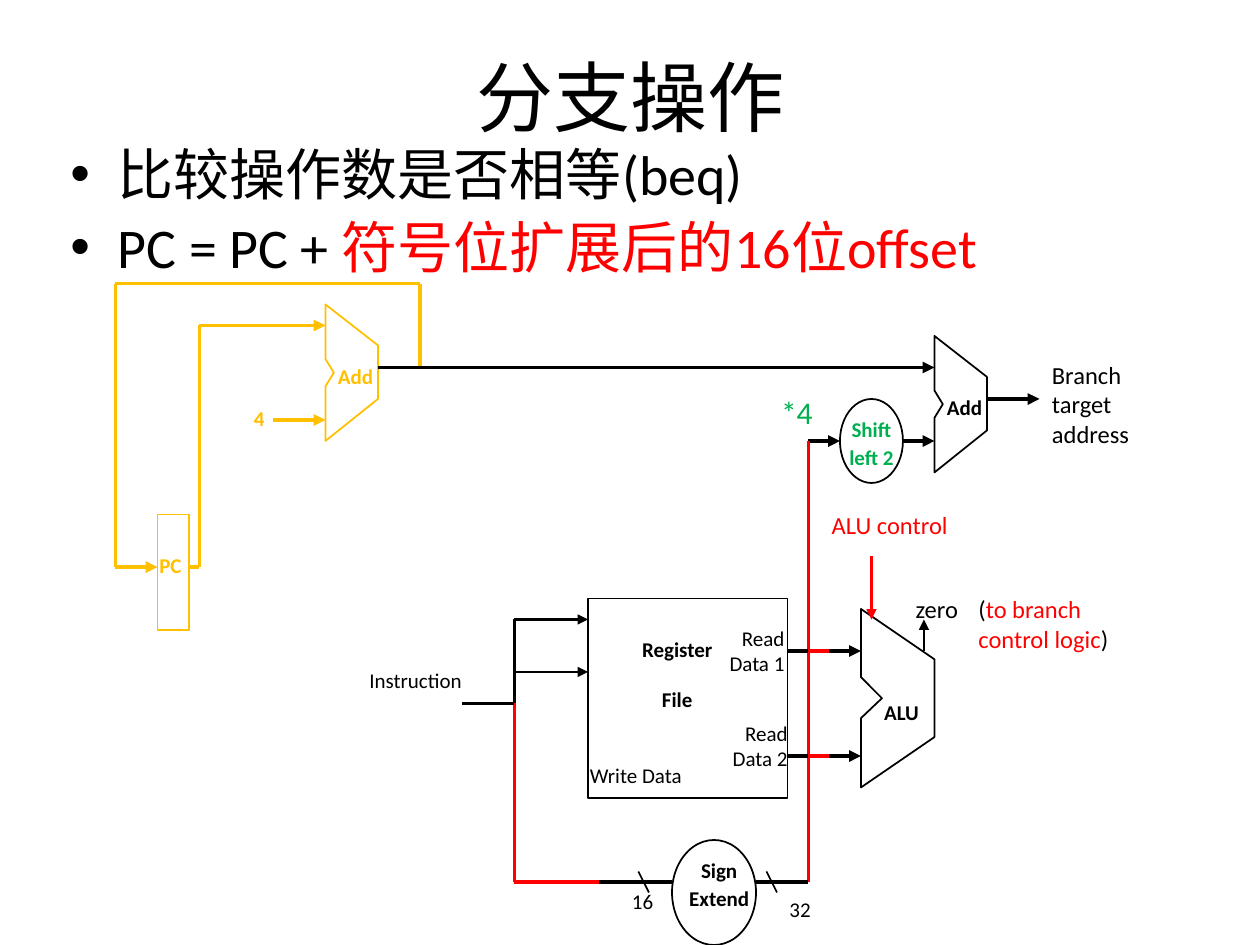
from itertools import pairwise

from pptx import Presentation
from pptx.dml.color import RGBColor
from pptx.enum.shapes import MSO_CONNECTOR, MSO_SHAPE
from pptx.enum.text import MSO_ANCHOR, MSO_AUTO_SIZE, PP_ALIGN
from pptx.oxml.ns import qn
from pptx.util import Pt
from lxml.etree import SubElement

SCALE = 7620
FONT = "Calibri"
BLACK = RGBColor(0x00, 0x00, 0x00)
RED = RGBColor(0xFF, 0x00, 0x00)
GREEN = RGBColor(0x00, 0xB0, 0x50)
GOLD = RGBColor(0xFF, 0xC0, 0x00)

ADDER = [(0, 0), (50, 39), (50, 90), (0, 130), (0, 78), (8, 65), (0, 52)]
ALU = [(0, 0), (0, 65), (20, 85), (0, 104), (0, 170), (70, 122), (70, 48)]


def px(*lengths):
    return [length * SCALE for length in lengths]


def format_run(run, size, color, bold=False):
    run.font.name = FONT
    run.font.size = Pt(size)
    run.font.bold = bold
    run.font.color.rgb = color


def place(shape, left, top, width, height):
    shape.left, shape.top, shape.width, shape.height = px(left, top, width, height)


def fill_title(slide, text):
    title = slide.shapes.title
    place(title, 61, 16, 1080, 150)
    title.text_frame.text = text
    title.text_frame.vertical_anchor = MSO_ANCHOR.MIDDLE
    format_run(title.text_frame.paragraphs[0].runs[0], 44, BLACK)


def fill_body(slide, items):
    body = slide.placeholders[1]
    place(body, 55, 127, 1100, 143)
    frame = body.text_frame
    frame.auto_size = MSO_AUTO_SIZE.NONE
    for index, runs in enumerate(items):
        paragraph = frame.add_paragraph() if index else frame.paragraphs[0]
        paragraph.space_before = Pt(3 if index else 0)
        for text, color in runs:
            run = paragraph.add_run()
            run.text = text
            format_run(run, 32, color)


def add_label(slide, box, text, size=12, color=BLACK, bold=False,
              align=PP_ALIGN.LEFT, line_pitch=None, gap=0, wrap=False):
    frame = slide.shapes.add_textbox(*px(*box)).text_frame
    frame.text = text
    frame.word_wrap = wrap
    if line_pitch:
        frame.margin_left, frame.margin_right = px(2, 2)
        frame.margin_top, frame.margin_bottom = px(4, 4)
    for index, paragraph in enumerate(frame.paragraphs):
        paragraph.alignment = align
        if line_pitch:
            paragraph.line_spacing = Pt(line_pitch)
        if index and gap:
            paragraph.space_before = Pt(gap)
        for run in paragraph.runs:
            format_run(run, size, color, bold)
    return frame


def style_outline(shape, color):
    shape.shadow.inherit = False
    shape.fill.background()
    shape.line.color.rgb = color
    shape.line.width = Pt(1)


def add_block(slide, kind, box, color=BLACK):
    style_outline(slide.shapes.add_shape(kind, *px(*box)), color)


def add_unit(slide, left, top, outline, color=BLACK):
    points = [(left + x, top + y) for x, y in outline]
    builder = slide.shapes.build_freeform(*points[0], scale=SCALE)
    builder.add_line_segments(points[1:], close=True)
    style_outline(builder.convert_to_shape(), color)


def add_wire(slide, points, color=BLACK, width=2.25, arrow=False):
    for start, end in pairwise(points):
        wire = slide.shapes.add_connector(MSO_CONNECTOR.STRAIGHT, *px(*start, *end))
        wire.line.color.rgb = color
        wire.line.width = Pt(width)
        if arrow and end == points[-1]:
            SubElement(wire.line._get_or_add_ln(), qn("a:tailEnd"), type="triangle")
        SubElement(wire._element.spPr, qn("a:effectLst"))


def add_program_counter(slide):
    add_block(slide, MSO_SHAPE.RECTANGLE, (150, 490, 30, 110), GOLD)
    add_unit(slide, 310, 290, ADDER, GOLD)
    add_wire(slide, [(180, 540), (190, 540), (190, 310), (310, 310)], GOLD, arrow=True)
    add_wire(slide, [(260, 400), (310, 400)], GOLD, arrow=True)
    add_wire(slide, [(400, 350), (400, 270), (110, 270), (110, 540), (150, 540)],
             GOLD, arrow=True)
    for text, box in (("Add", (310, 340, 59, 36)), ("PC", (140, 520, 46, 36)),
                      ("4", (230, 380, 35, 36))):
        add_label(slide, box, text, color=GOLD, bold=True)


def add_branch_target(slide):
    add_unit(slide, 890, 320, ADDER)
    add_block(slide, MSO_SHAPE.OVAL, (800, 380, 60, 80))
    for points in ([(360, 350), (890, 350)], [(770, 420), (800, 420)],
                   [(860, 420), (890, 420)], [(940, 380), (990, 380)]):
        add_wire(slide, points, arrow=True)
    add_label(slide, (890, 370, 64, 36), "Add", bold=True)
    add_label(slide, (800, 390, 60, 60), "Shift\nleft 2", color=GREEN, bold=True,
              align=PP_ALIGN.CENTER, line_pitch=16)
    add_label(slide, (732, 368, 78, 48), "*4", 18, GREEN, wrap=True)
    add_label(slide, (990, 337, 107, 96), "Branch\ntarget\naddress", 14)


def add_register_file(slide):
    add_block(slide, MSO_SHAPE.RECTANGLE, (560, 570, 190, 190))
    add_wire(slide, [(440, 670), (490, 670), (490, 590)])
    for y in (590, 640):
        add_wire(slide, [(490, y), (560, y)], width=1.5, arrow=True)
    add_label(slide, (340, 630, 116, 36), "Instruction")
    add_label(slide, (550, 720, 119, 36), "Write Data")
    add_label(slide, (593, 600, 104, 84), "Register\nFile", bold=True,
              align=PP_ALIGN.CENTER, gap=14.6)
    add_label(slide, (670, 590, 89, 60), "Read\nData 1", align=PP_ALIGN.RIGHT)
    add_label(slide, (673, 680, 89, 60), "Read\nData 2", align=PP_ALIGN.RIGHT)


def add_sign_extension(slide):
    add_block(slide, MSO_SHAPE.OVAL, (640, 800, 80, 100))
    add_wire(slide, [(490, 670), (490, 840), (580, 840)], RED)
    add_wire(slide, [(770, 420), (770, 840)], RED)
    add_wire(slide, [(570, 840), (640, 840)])
    add_wire(slide, [(720, 840), (770, 840)])
    for x in (608, 730):
        add_wire(slide, [(x, 830), (x + 10, 850)], width=1)
    add_label(slide, (650, 810, 70, 60), "Sign\nExtend", bold=True,
              align=PP_ALIGN.CENTER, line_pitch=16)
    add_label(slide, (590, 840, 47, 36), "16")
    add_label(slide, (740, 848, 47, 36), "32")


def add_comparison(slide):
    add_unit(slide, 820, 580, ALU)
    for y in (620, 720):
        add_wire(slide, [(770, y), (790, y)], RED)
        add_wire(slide, [(750, y), (770, y)])
        add_wire(slide, [(790, y), (820, y)], arrow=True)
    add_wire(slide, [(830, 530), (830, 590)], RED, 1.5, arrow=True)
    add_wire(slide, [(880, 620), (880, 590)], width=1, arrow=True)
    add_label(slide, (840, 660, 66, 43), "ALU", bold=True, line_pitch=16)
    add_label(slide, (790, 480, 121, 43), "ALU control", 14, RED, line_pitch=18)
    add_label(slide, (870, 560, 60, 40), "zero", 14, line_pitch=18)
    note = add_label(slide, (920, 560, 180, 68), "(", 14, wrap=True)
    for text, color in (("to branch control logic", RED), (")", BLACK)):
        run = note.paragraphs[0].add_run()
        run.text = text
        format_run(run, 14, color)


def main():
    presentation = Presentation()
    presentation.slide_width, presentation.slide_height = px(1200, 900)
    slide = presentation.slides.add_slide(presentation.slide_layouts[1])
    fill_title(slide, "分支操作")
    fill_body(slide, [[("比较操作数是否相等(beq)", BLACK)],
                      [("PC = PC + ", BLACK), ("符号位扩展后的16位offset", RED)]])
    add_program_counter(slide)
    add_branch_target(slide)
    add_sign_extension(slide)
    add_register_file(slide)
    add_comparison(slide)
    presentation.save("out.pptx")


if __name__ == "__main__":
    main()
